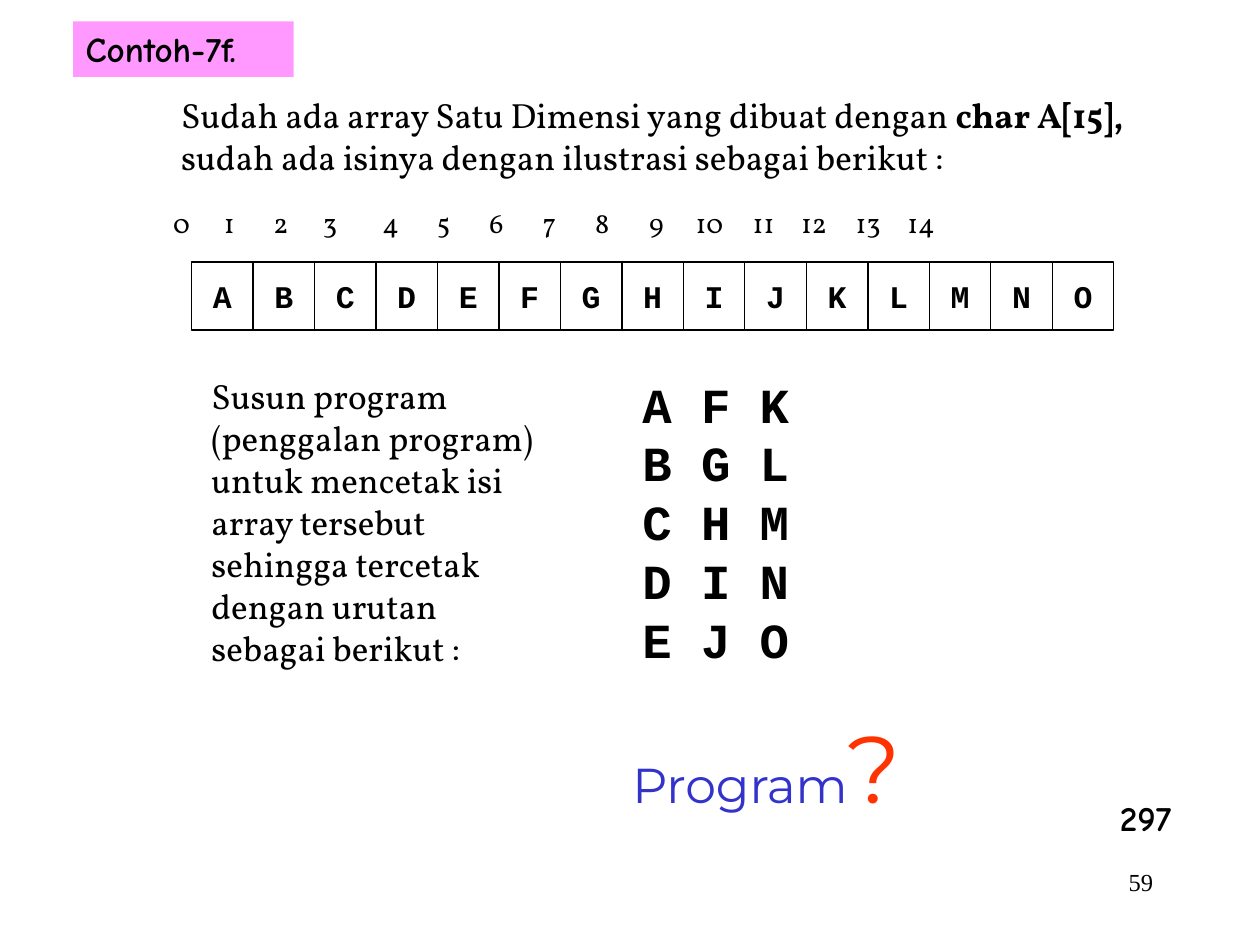
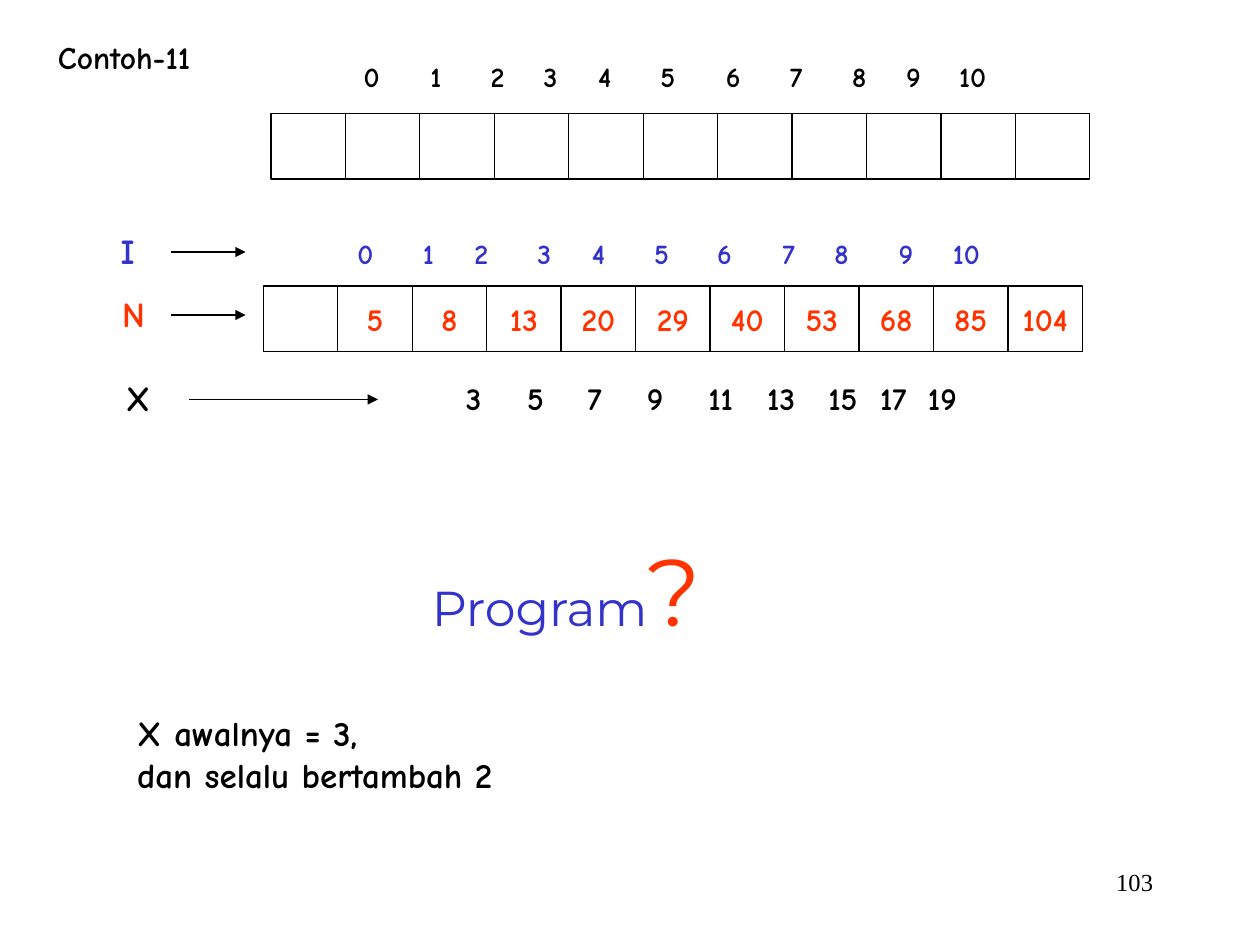
import pptx
import pptx.util
import pptx.dml.color
import pptx.enum.shapes
import pptx.enum.text
import pptx.oxml.ns
from lxml import etree

Inches = pptx.util.Inches
ALIGN = pptx.enum.text.PP_ALIGN
ANCHOR = pptx.enum.text.MSO_ANCHOR
SHAPE = pptx.enum.shapes.MSO_SHAPE
LINE = pptx.enum.shapes.MSO_CONNECTOR

# Shared colours and fonts
BLACK, BLUE, RED, PINK = "000000", "3333CC", "FF3300", "FF99FF"
COMIC, CODE, BODY = "Comic Neue", "Courier New", "Vollkorn"
HEAD, FOOT = "Montserrat", "Times New Roman"


def paint(color, code):
    color.rgb = pptx.dml.color.RGBColor.from_string(code)


def style(text, size, font=COMIC, code=BLACK, bold=False):
    """Describe one run of text."""
    return text, size, font, code, bold


def write(frame, lines, wrap=False, align=ALIGN.LEFT, anchor=ANCHOR.TOP):
    """Fill a text frame; each line is a list of styled runs."""
    frame.word_wrap = wrap
    frame.auto_size = pptx.enum.text.MSO_AUTO_SIZE.NONE
    frame.vertical_anchor = anchor
    for i, line in enumerate(lines):
        para = frame.add_paragraph() if i else frame.paragraphs[0]
        para.alignment = align
        for text, size, font, code, bold in line:
            run = para.add_run()
            run.text = text
            run.font.size = pptx.util.Pt(size)
            run.font.name = font
            run.font.bold = bold
            paint(run.font.color, code)


def label(slide, box, lines, **look):
    shape = slide.shapes.add_textbox(*map(Inches, box))
    write(shape.text_frame, lines, **look)
    return shape


def title(slide, box, text, size, fill=None):
    shape = slide.shapes.title
    shape.left, shape.top, shape.width, shape.height = map(Inches, box)
    if fill:
        shape.fill.solid()
        paint(shape.fill.fore_color, fill)
    write(shape.text_frame, [[style(text, size, bold=True)]])


def cells(slide, box, texts, font, code):
    """Draw an array as equal cells side by side."""
    left, top, width, height = box
    step = width / len(texts)
    for i, text in enumerate(texts):
        cell = slide.shapes.add_shape(
            SHAPE.RECTANGLE, Inches(left + i * step), Inches(top),
            Inches(step), Inches(height))
        cell.shadow.inherit = False
        cell.fill.background()
        paint(cell.line.color, BLACK)
        cell.line.width = pptx.util.Pt(0.75)
        if text:
            write(cell.text_frame, [[style(text, 18, font, code, True)]],
                  align=ALIGN.CENTER, anchor=ANCHOR.MIDDLE)


def scale(slide, box, marks, stops, size, font=COMIC, code=BLACK, bold=True):
    """Set a row of numbers on centred tab stops, given from the slide edge."""
    text = "".join(f"\t{mark}" for mark in marks)
    shape = label(slide, box, [[style(text, size, font, code, bold)]], wrap=True)
    shape.text_frame.margin_left = 0
    props = shape.text_frame.paragraphs[0]._p.get_or_add_pPr()
    tabs = etree.SubElement(props, pptx.oxml.ns.qn("a:tabLst"))
    for stop in stops:
        etree.SubElement(tabs, pptx.oxml.ns.qn("a:tab"),
                         pos=str(Inches(stop - box[0])), algn="ctr")


def arrow(slide, start, end, y):
    line = slide.shapes.add_connector(
        LINE.STRAIGHT, Inches(start), Inches(y), Inches(end), Inches(y))
    paint(line.line.color, BLACK)
    line.line.width = pptx.util.Pt(0.75)
    etree.SubElement(line.line._get_or_add_ln(),
                     pptx.oxml.ns.qn("a:tailEnd"), type="triangle")
    etree.SubElement(line._element.spPr, pptx.oxml.ns.qn("a:effectLst"))


def prompt(slide, left, top):
    label(slide, (left, top, 2.58, 1),
          [[style("Program", 28, HEAD, BLUE), style("?", 54, HEAD, RED)]],
          wrap=True)


def number(slide, text):
    label(slide, (7.17, 6.83, 2.08, 0.5), [[style(text, 14, FOOT)]],
          wrap=True, align=ALIGN.RIGHT)


def letters(slide):
    """Slide with the array of letters to print in columns."""
    title(slide, (0.58, 0.17, 1.75, 0.44), "Contoh-7f.", 20, PINK)
    label(slide, (1.34, 0.69, 8.16, 1.1), [
        [style("Sudah ada array Satu Dimensi yang dibuat dengan ", 20, BODY),
         style("char A[15],", 20, BODY, bold=True)],
        [style("sudah ada isinya dengan ilustrasi sebagai berikut :", 20, BODY)],
    ], wrap=True)

    # Array with its indexes
    stops = [1.44, 1.82, 2.23, 2.62, 3.1, 3.52, 3.94, 4.36,
             4.78, 5.21, 5.63, 6.06, 6.46, 6.89, 7.31]
    scale(slide, (1.28, 1.58, 7.75, 0.37), range(15), stops, 16, BODY, bold=False)
    cells(slide, (1.52, 2.08, 7.32, 0.54), "ABCDEFGHIJKLMNO", CODE, BLACK)

    # Task and the expected print
    label(slide, (1.58, 2.92, 2.92, 2.77), [[style(
        "Susun program (penggalan program) untuk mencetak isi array tersebut "
        "sehingga tercetak dengan urutan sebagai berikut :", 20, BODY)]], wrap=True)
    rows = ["A F K", "B G L", "C H M", "D I N", "E J O"]
    label(slide, (5, 2.92, 1.36, 2.44),
          [[style(row, 28, CODE, bold=True)] for row in rows])
    prompt(slide, 4.92, 5.58)
    label(slide, (8.79, 6.27, 0.61, 0.44), [[style("297", 20, bold=True)]])
    number(slide, "59")


def series(slide):
    """Slide with the number series built from growing steps."""
    title(slide, (0.36, 0.25, 1.5, 0.4), "Contoh-11", 18)

    # Empty array
    stops = [2.95, 3.46, 3.95, 4.37, 4.8, 5.3, 5.82, 6.32, 6.82, 7.25, 7.72]
    scale(slide, (2.56, 0.42, 5.46, 0.37), range(11), stops, 16)
    cells(slide, (2.15, 0.9, 6.5, 0.52), [""] * 11, COMIC, BLACK)

    # Filled array
    stops = [2.9, 3.4, 3.82, 4.32, 4.75, 5.25, 5.75, 6.26, 6.68, 7.19, 7.67]
    scale(slide, (2.51, 1.83, 5.46, 0.37), range(11), stops, 16, code=BLUE)
    terms = ["", "5", "8", "13", "20", "29", "40", "53", "68", "85", "104"]
    cells(slide, (2.09, 2.27, 6.5, 0.52), terms, COMIC, RED)

    # Steps between the terms
    stops = [3.76, 4.25, 4.72, 5.2, 5.72, 6.2, 6.69, 7.09, 7.48]
    scale(slide, (3.6, 2.96, 4.1, 0.4), range(3, 20, 2), stops, 18)

    # Row names and arrows
    names = [("I", 0.86, 1.77, 0.31, BLUE), ("N", 0.87, 2.27, 0.38, RED),
             ("X", 0.9, 2.94, 0.39, BLACK)]
    for name, left, top, width, code in names:
        label(slide, (left, top, width, 0.44),
              [[style(name, 20, code=code, bold=True)]])
    for start, end, y in [(1.36, 1.95, 2), (1.36, 1.95, 2.5), (1.5, 3, 3.17)]:
        arrow(slide, start, end, y)

    prompt(slide, 3.33, 4.17)
    hints = ["X awalnya = 3,", "dan selalu bertambah 2"]
    label(slide, (0.99, 5.6, 3.03, 0.77),
          [[style(hint, 20, bold=True)] for hint in hints])
    number(slide, "103")


def main():
    deck = pptx.Presentation()
    deck.slide_width, deck.slide_height = Inches(10), Inches(7.5)
    for build in (letters, series):
        build(deck.slides.add_slide(deck.slide_layouts[5]))
    deck.save("out.pptx")


if __name__ == "__main__":
    main()
